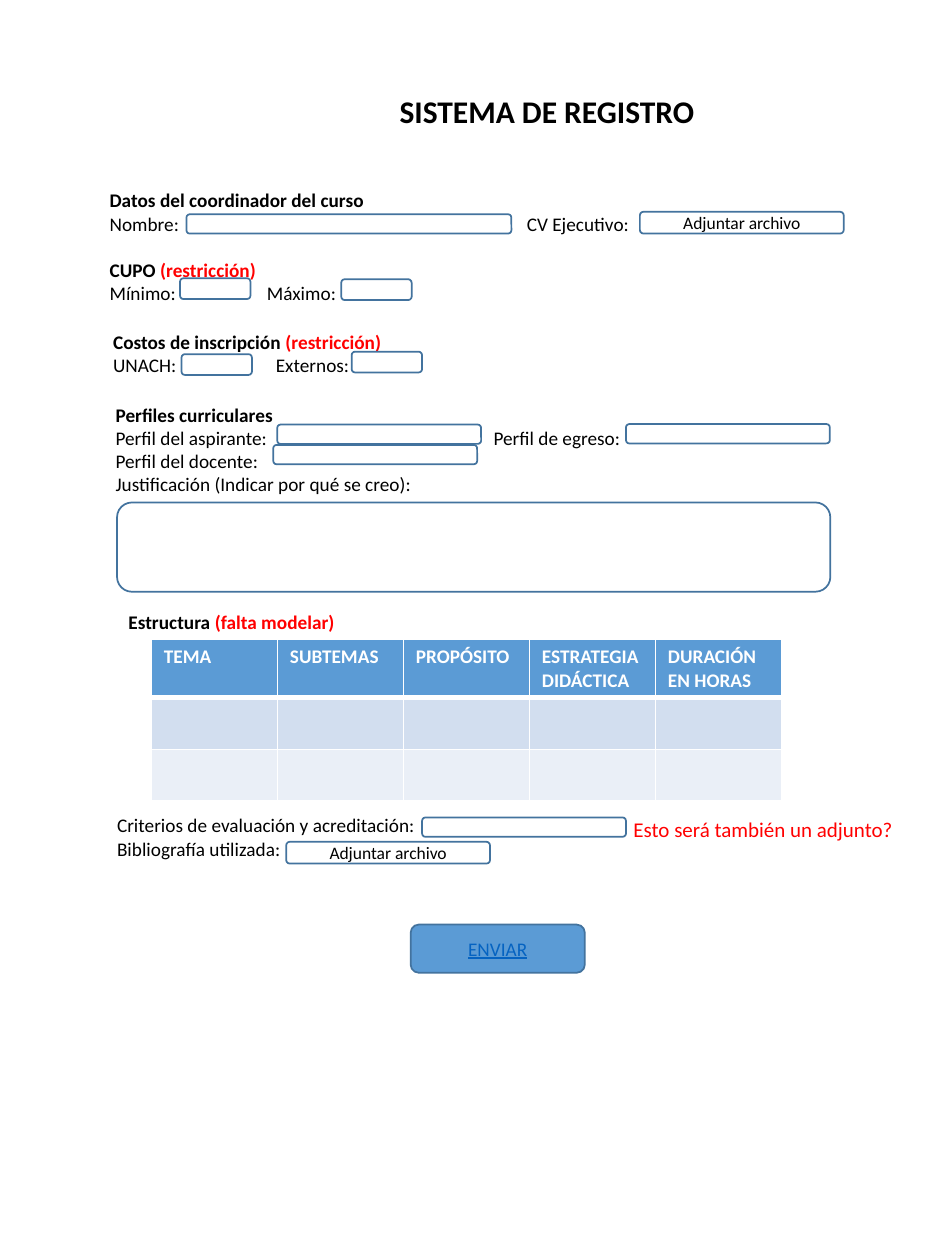
from lxml import etree
from pptx import Presentation
from pptx.dml.color import RGBColor
from pptx.enum.shapes import MSO_SHAPE
from pptx.enum.text import MSO_ANCHOR, MSO_AUTO_SIZE, PP_ALIGN
from pptx.oxml.ns import qn
from pptx.util import Cm, Pt

ROUNDED = MSO_SHAPE.ROUNDED_RECTANGLE
TOP, MIDDLE = MSO_ANCHOR.TOP, MSO_ANCHOR.MIDDLE
LEFT, CENTER = PP_ALIGN.LEFT, PP_ALIGN.CENTER
NO_AUTOFIT, GROW = MSO_AUTO_SIZE.NONE, MSO_AUTO_SIZE.SHAPE_TO_FIT_TEXT
BLACK, WHITE, RED = "000000", "FFFFFF", "FF0000"
BLUE, OUTLINE, LINK = "5B9BD5", "43739E", "0563C1"


def rgb(value):
    return RGBColor.from_string(value)


def add_run(p, text, color=BLACK, bold=False, size=11):
    r = p.add_run()
    r.text = text
    r.font.name = "Calibri"
    r.font.size = Pt(size)
    r.font.bold = bold
    r.font.color.rgb = rgb(color)
    return r


prs = Presentation()
prs.slide_width, prs.slide_height = Cm(19.05), Cm(25.4)
s = prs.slides.add_slide(prs.slide_layouts[5])

# Title
title = s.shapes.title
title.left, title.top, title.width, title.height = Cm(7.8), Cm(1.73), Cm(6.76), Cm(1.02)
tf = title.text_frame
tf.auto_size = NO_AUTOFIT
tf.vertical_anchor = TOP
tf.paragraphs[0].alignment = LEFT
add_run(tf.paragraphs[0], "SISTEMA DE REGISTRO", bold=True, size=18)

# Form labels: place, then one (runs, tab stop, space before) per paragraph
labels = [
    ((1.96, 3.68, 11.2, 2.62), [
        ([("Datos del coordinador del curso", BLACK, True)], None, 0),
        ([("Nombre:\tCV Ejecutivo:",)], 8.41, 0),
        ([("CUPO ", BLACK, True), ("(restricción)", RED, True)], None, 13.4),
        ([("Mínimo:\tMáximo:",)], 3.17, 0)]),
    ((2.03, 6.53, 8.84, 1.19), [
        ([("Costos de inscripción ", BLACK, True), ("(restricción)", RED, True)], None, 0),
        ([("UNACH:\tExternos:",)], 3.28, 0)]),
    ((2.08, 8, 14.4, 2.13), [
        ([("Perfiles curriculares", BLACK, True)], None, 0),
        ([("Perfil del aspirante:\tPerfil de egreso:",)], 7.62, 0),
        ([("Perfil del docente:",)], None, 0),
        ([("Justificación (Indicar por qué se creo):",)], None, 0)]),
    ((2.34, 12.17, 6.17, 0.74), [
        ([("Estructura ", BLACK, True), ("(falta modelar)", RED, True)], None, 0)]),
    ((2.11, 16.28, 14.4, 1.19), [
        ([("Criterios de evaluación y acreditación:",)], None, 0),
        ([("Bibliografía utilizada:",)], None, 0)]),
    ((12.52, 16.33, 5.79, 0.76), [
        ([("Esto será también un adjunto?", RED, False, 12)], None, 0)]),
]
for place, paragraphs in labels:
    tf = s.shapes.add_textbox(*map(Cm, place)).text_frame
    tf.word_wrap = True
    tf.auto_size = GROW
    for i, (runs, tab, space) in enumerate(paragraphs):
        p = tf.add_paragraph() if i else tf.paragraphs[0]
        p.space_before = Pt(space)
        if tab:
            tabs = etree.SubElement(p._p.get_or_add_pPr(), qn("a:tabLst"))
            etree.SubElement(tabs, qn("a:tab"), pos=str(Cm(tab)), algn="l")
        for run in runs:
            add_run(p, *run)
tf.word_wrap = False  # the closing question stays on one line

# Input fields and buttons: left, top, width, height, caption
WIDE, SMALL = 4.11, 1.42
fields = [
    (3.76, 4.32, 6.55, 0.39, ""),
    (3.63, 5.61, SMALL, 0.42, ""),
    (6.88, 5.63, SMALL, 0.42, ""),
    (3.66, 7.14, SMALL, 0.42, ""),
    (7.09, 7.09, SMALL, 0.42, ""),
    (5.59, 8.56, WIDE, 0.39, ""),
    (12.62, 8.55, WIDE, 0.39, ""),
    (5.51, 8.97, WIDE, 0.39, ""),
    (2.36, 10.13, 14.38, 1.8, ""),
    (8.51, 16.48, WIDE, 0.39, ""),
    (12.9, 4.27, WIDE, 0.44, "Adjuntar archivo"),
    (5.77, 16.97, WIDE, 0.44, "Adjuntar archivo"),
    (8.28, 18.64, 3.51, 0.97, "ENVIAR"),
]
for *place, caption in fields:
    sp = s.shapes.add_shape(ROUNDED, *map(Cm, place))
    sp.shadow.inherit = False
    sp.fill.solid()
    sp.fill.fore_color.rgb = rgb(BLUE if caption == "ENVIAR" else WHITE)
    sp.line.color.rgb = rgb(OUTLINE)
    sp.line.width = Pt(1)
    if caption:
        tf = sp.text_frame
        tf.vertical_anchor = MIDDLE
        p = tf.paragraphs[0]
        p.alignment = CENTER
        if caption == "ENVIAR":
            add_run(p, caption, LINK).font.underline = True
        else:
            add_run(p, caption, size=10)

# Course structure table
headers = ["TEMA", "SUBTEMAS", "PROPÓSITO", "ESTRATEGIA DIDÁCTICA", "DURACIÓN EN HORAS"]
row_fills = [BLUE, "D2DEEF", "EAEFF7"]
table = s.shapes.add_table(3, 5, Cm(3.05), Cm(12.88), Cm(12.7), Cm(3.12)).table
for row, fill in enumerate(row_fills):
    for col, header in enumerate(headers):
        cell = table.cell(row, col)
        if row == 0:
            add_run(cell.text_frame.paragraphs[0], header, WHITE, True)
        tcPr = cell._tc.get_or_add_tcPr()
        for side in ("lnL", "lnR", "lnT", "lnB"):
            heavy = (row, side) in ((0, "lnB"), (1, "lnT"))
            ln = etree.SubElement(tcPr, qn("a:" + side), w=str(Pt(3 if heavy else 1)))
            line_fill = etree.SubElement(ln, qn("a:solidFill"))
            etree.SubElement(line_fill, qn("a:srgbClr"), val=WHITE)
        cell.fill.solid()
        cell.fill.fore_color.rgb = rgb(fill)

prs.save("out.pptx")
